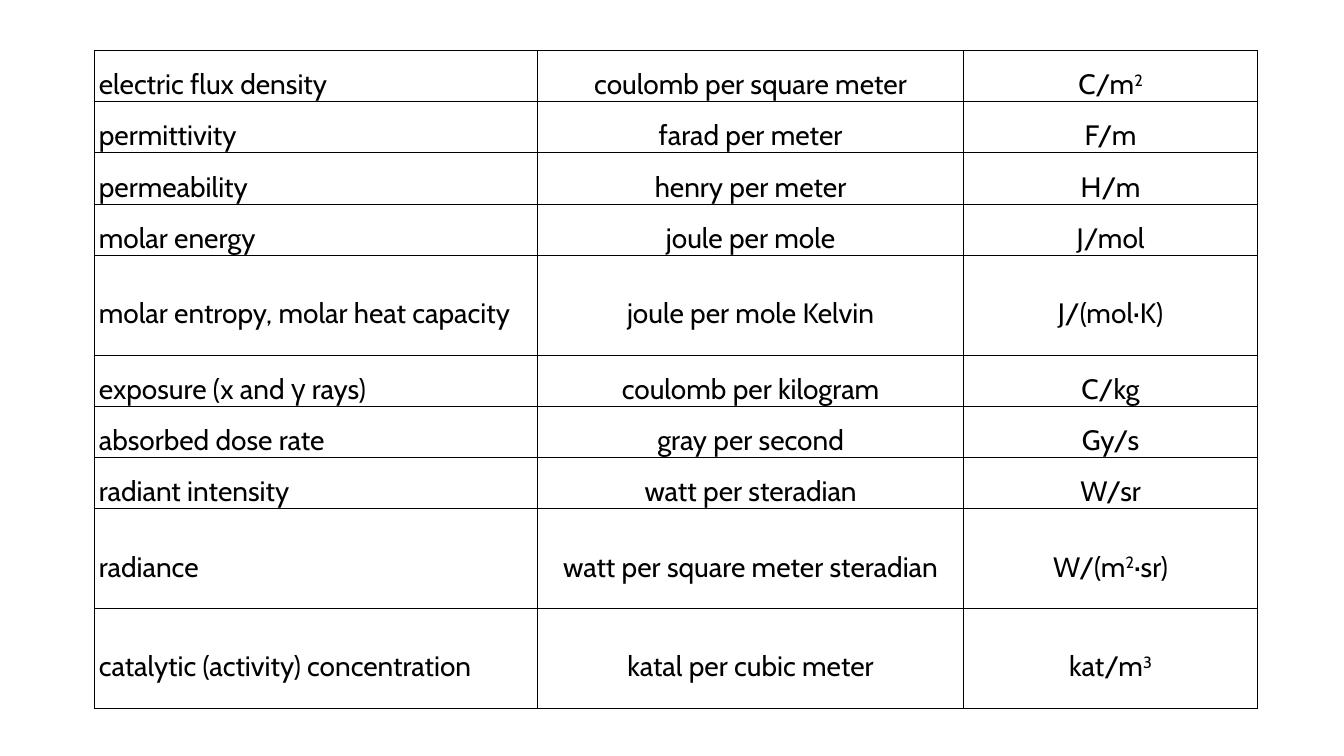
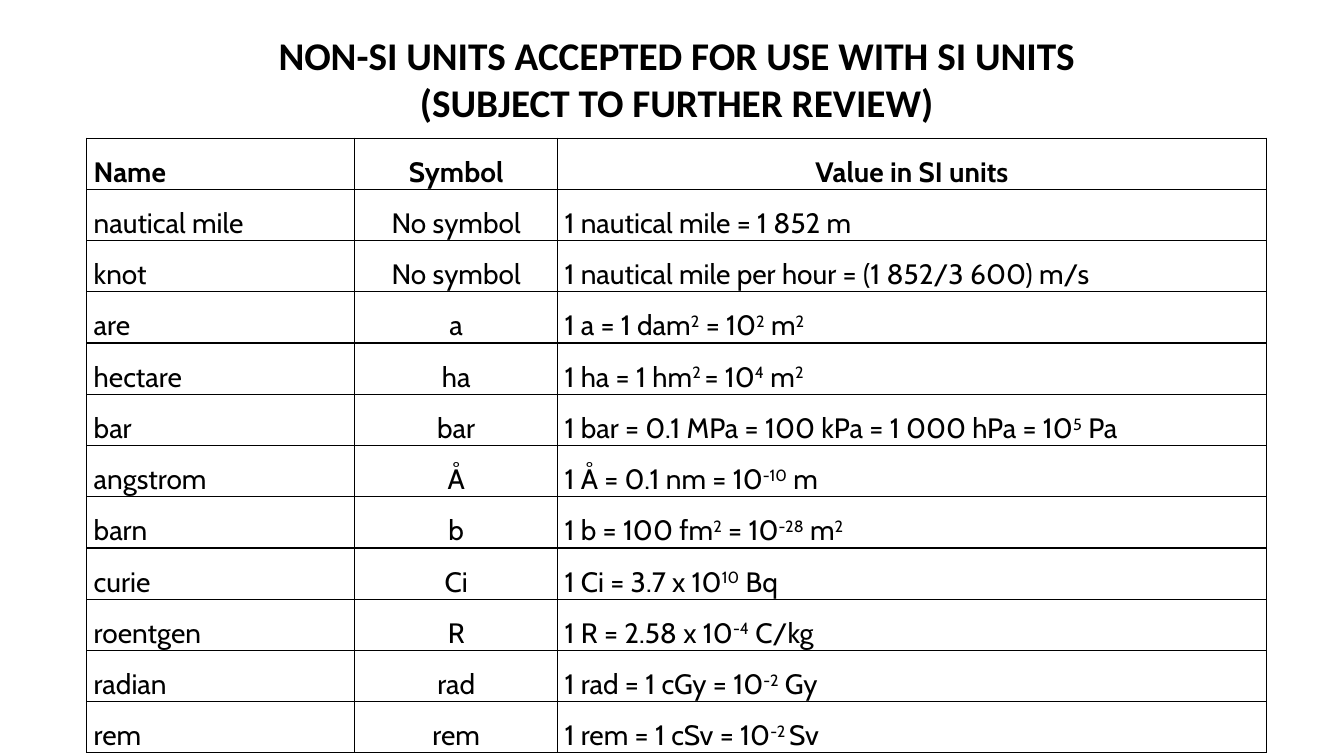
import lxml.etree
import pptx
import pptx.dml.color
import pptx.enum.text
import pptx.oxml.ns
import pptx.util

BLACK = pptx.dml.color.RGBColor(0x00, 0x00, 0x00)
BODY_FONT, BODY_SIZE = "Cabin", 20
TITLE_FONT, TITLE_SIZE = "Calibri", 28
LEFT = pptx.enum.text.PP_ALIGN.LEFT
CENTER = pptx.enum.text.PP_ALIGN.CENTER
MIDDLE = pptx.enum.text.MSO_ANCHOR.MIDDLE

DERIVED_UNITS = [
    ("electric flux density", "coulomb per square meter", "C/m^2^"),
    ("permittivity", "farad per meter", "F/m"),
    ("permeability", "henry per meter", "H/m"),
    ("molar energy", "joule per mole", "J/mol"),
    ("molar entropy, molar heat capacity", "joule per mole Kelvin", "J/(mol·K)"),
    ("exposure (x and γ rays)", "coulomb per kilogram", "C/kg"),
    ("absorbed dose rate", "gray per second", "Gy/s"),
    ("radiant intensity", "watt per steradian", "W/sr"),
    ("radiance", "watt per square meter steradian", "W/(m^2^·sr)"),
    ("catalytic (activity) concentration", "katal per cubic meter", "kat/m^3^"),
]
TALL_ROWS = {4, 8, 9}

REVIEW_TITLE = [
    "NON-SI UNITS ACCEPTED FOR USE WITH SI UNITS",
    "(SUBJECT TO FURTHER REVIEW)",
]
REVIEW_UNITS = [
    ("Name", "Symbol", "Value in SI units"),
    ("nautical mile", "No symbol", "1 nautical mile = 1 852 m"),
    ("knot", "No symbol", "1 nautical mile per hour = (1 852/3 600) m/s"),
    ("are", "a", "1 a = 1 dam^2^ = 10^2^ m^2^"),
    ("hectare", "ha", "1 ha = 1 hm^2 ^= 10^4^ m^2^"),
    ("bar", "bar", "1 bar = 0.1 MPa = 100 kPa = 1 000 hPa = 10^5^ Pa"),
    ("angstrom", "Å", "1 Å = 0.1 nm = 10^-10^ m"),
    ("barn", "b", "1 b = 100 fm^2^ = 10^-28^ m^2^"),
    ("curie", "Ci", "1 Ci = 3.7 x 10^10^ Bq"),
    ("roentgen", "R", "1 R = 2.58 x 10^-4^ C/kg"),
    ("radian", "rad", "1 rad = 1 cGy = 10^-2^ Gy"),
    ("rem", "rem", "1 rem = 1 cSv = 10^-2 ^Sv"),
]


def inches(*values):
    return [pptx.util.Inches(v) for v in values]


def add_run(p, text, font, size, bold=False):
    r = p.add_run()
    r.text = text
    r.font.name = font
    r.font.size = pptx.util.Pt(size)
    r.font.bold = bold
    r.font.color.rgb = BLACK
    return r


def add_marked_text(p, text, bold):
    for i, part in enumerate(text.split("^")):
        if part:
            r = add_run(p, part, BODY_FONT, BODY_SIZE, bold)
            if i % 2:
                r._r.get_or_add_rPr().set("baseline", "30000")


def set_borders(cell):
    qn = pptx.oxml.ns.qn
    tcPr = cell._tc.get_or_add_tcPr()
    for side in ("lnL", "lnR", "lnT", "lnB"):
        ln = lxml.etree.SubElement(tcPr, qn(f"a:{side}"), w=str(pptx.util.Pt(1)))
        fill = lxml.etree.SubElement(ln, qn("a:solidFill"))
        lxml.etree.SubElement(fill, qn("a:srgbClr"), val=str(BLACK))


def add_unit_table(s, rows, left, top, widths, heights, aligns, inset, header=False):
    frame = s.shapes.add_table(len(rows), len(widths),
                               *inches(left, top, sum(widths), sum(heights)))
    table = frame.table
    table.first_row = header
    table.horz_banding = False
    for column, width in zip(table.columns, inches(*widths)):
        column.width = width
    for row, height in zip(table.rows, inches(*heights)):
        row.height = height
    for i, row in enumerate(rows):
        is_header = header and i == 0
        for j, text in enumerate(row):
            cell = table.cell(i, j)
            set_borders(cell)
            cell.fill.background()
            cell.vertical_anchor = MIDDLE
            cell.margin_left = cell.margin_right = pptx.util.Inches(inset)
            cell.margin_top = cell.margin_bottom = 0
            p = cell.text_frame.paragraphs[0]
            p.alignment = CENTER if is_header and j else aligns[j]
            p.line_spacing = 1.5
            add_marked_text(p, text, is_header)


def add_title(s, lines, left, top, width, height):
    tf = s.shapes.add_textbox(*inches(left, top, width, height)).text_frame
    tf.word_wrap = True
    tf.vertical_anchor = MIDDLE
    for i, line in enumerate(lines):
        p = tf.add_paragraph() if i else tf.paragraphs[0]
        p.alignment = CENTER
        add_run(p, line, TITLE_FONT, TITLE_SIZE, True)


def main():
    prs = pptx.Presentation()
    prs.slide_width, prs.slide_height = inches(13.33, 7.5)
    blank = prs.slide_layouts[6]

    s = prs.slides.add_slide(blank)
    heights = [0.99 if i in TALL_ROWS else 0.49 for i in range(len(DERIVED_UNITS))]
    add_unit_table(s, DERIVED_UNITS, 0.94, 0.5, (4.39, 4.23, 2.91), heights,
                   (LEFT, CENTER, CENTER), 0.04)

    s = prs.slides.add_slide(blank)
    add_unit_table(s, REVIEW_UNITS, 0.86, 1.37, (2.66, 2.01, 7.03),
                   [0.48] * len(REVIEW_UNITS), (LEFT, CENTER, LEFT), 0.07, header=True)
    add_title(s, REVIEW_TITLE, 0.86, 0.18, 11.7, 1.19)

    prs.save("out.pptx")


if __name__ == "__main__":
    main()
